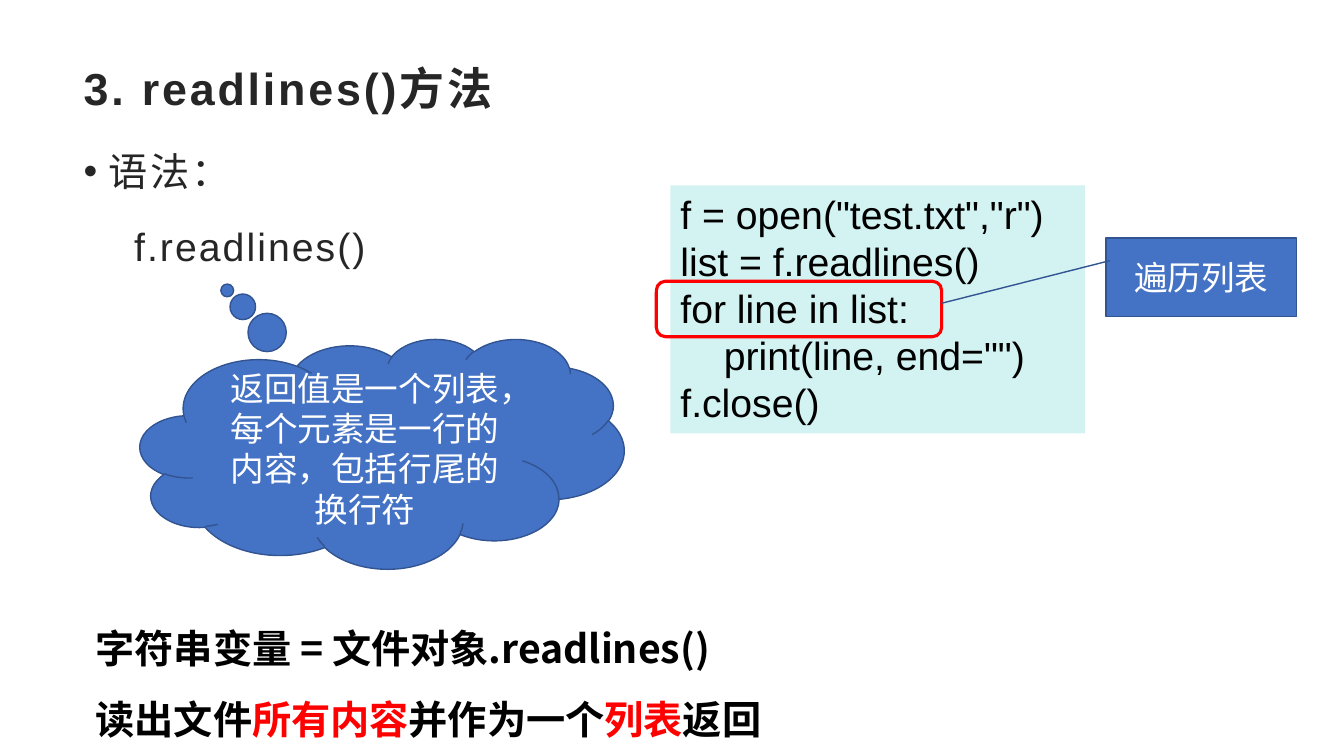
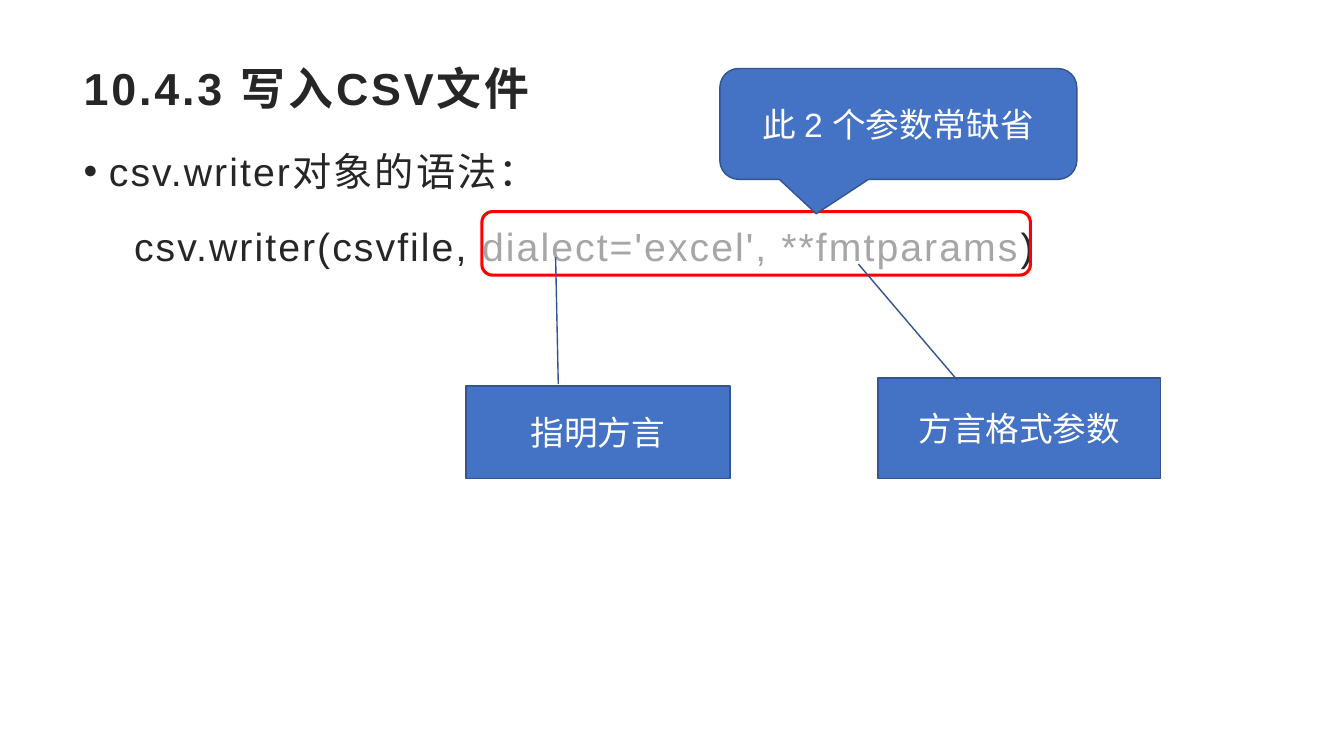
"""Build two slides on readlines() and csv.writer with annotated callouts."""
import pptx
import pptx.dml.color
import pptx.enum.shapes
import pptx.enum.text
import pptx.oxml
import pptx.oxml.ns
import pptx.util

RGB = pptx.dml.color.RGBColor
SHAPE = pptx.enum.shapes.MSO_SHAPE
ALIGN = pptx.enum.text.PP_ALIGN
ANCHOR = pptx.enum.text.MSO_ANCHOR

INK = RGB(0x26, 0x26, 0x26)
BLACK = RGB(0, 0, 0)
WHITE = RGB(0xFF, 0xFF, 0xFF)
RED = RGB(0xFF, 0, 0)
GREY = RGB(0xA6, 0xA6, 0xA6)
BLUE = RGB(0x44, 0x72, 0xC4)
EDGE = RGB(0x32, 0x54, 0x91)
MINT = RGB(0xD3, 0xF2, 0xF2)
LATIN, CHINESE = "Arial", "Noto Sans CJK SC"

WIDTH, HEIGHT = 13.33, 7.5
TITLE_AREA = (0.73, 0.48, 11.87, 0.78)
BODY_AREA = (0.73, 1.27, 11.87, 5.67)
CODE_AREA = (6.65, 1.84, 4.11, 2.46)
SUMMARY_AREA = (0.35, 5.91, 11.43, 1.51)

CODE = [
    'f = open("test.txt","r")',
    "list = f.readlines()",
    "for line in list:",
    '    print(line, end="")',
    "f.close()",
]
SUMMARY = [
    ["字符串变量 = 文件对象.readlines()"],
    ["读出文件", ("所有内容", RED), "并作为一个", ("列表", RED), "返回"],
]
SLIDES = [
    {
        "title": "3. readlines()方法",
        "body": [["语法："], ["f.readlines()"]],
        "code": CODE,
        "frame": (6.51, 2.79, 2.83, 0.55),
        "callouts": [
            (SHAPE.CLOUD_CALLOUT, "返回值是一个列表，每个元素是一行的内容，包括行尾的换行符",
             (1.39, 3.36, 4.8, 2.28), (-0.32, -0.71)),
            (SHAPE.LINE_CALLOUT_1, "遍历列表",
             (10.97, 2.36, 1.89, 0.78), (0.29, 0.02, 0.83, -0.86)),
        ],
        "summary": SUMMARY,
    },
    {
        "title": "10.4.3 写入CSV文件",
        "body": [
            ["csv.writer对象的语法："],
            ["csv.writer(csvfile, ", ("dialect='excel', **fmtparams", GREY), ")"],
        ],
        "frame": (4.78, 2.1, 5.44, 0.63),
        "callouts": [
            (SHAPE.LINE_CALLOUT_1, "指明方言",
             (4.62, 3.83, 2.62, 0.92), (-0.02, 0.35, -1.39, 0.34)),
            (SHAPE.LINE_CALLOUT_1, "方言格式参数",
             (8.71, 3.75, 2.8, 1), (0.02, 0.28, -1.13, -0.07)),
            (SHAPE.ROUNDED_RECTANGULAR_CALLOUT, "此 2 个参数常缺省",
             (7.14, 0.68, 3.54, 1.1), (-0.23, 0.81, 0.17)),
        ],
    },
]


def inches(area):
    return [pptx.util.Inches(length) for length in area]


def add_element(parent, tag, **attributes):
    element = pptx.oxml.parse_xml(f"<a:{tag} {pptx.oxml.ns.nsdecls('a')}/>")
    for name, value in attributes.items():
        element.set(name, value)
    parent.append(element)


def write(box, lines, size, color=BLACK, font=LATIN, bold=False, tracking=0,
          align=ALIGN.LEFT, anchor=ANCHOR.TOP, spacing=1.0, after=0,
          outline=None):
    """Fill a box; each line is a list of strings or (string, colour) pairs."""
    frame = box.text_frame
    frame.word_wrap = True
    frame.auto_size = pptx.enum.text.MSO_AUTO_SIZE.NONE
    frame.vertical_anchor = anchor
    for index, line in enumerate(lines):
        para = frame.paragraphs[0] if index == 0 else frame.add_paragraph()
        if outline:
            para.level, margin, indent, bullet = outline[index]
            properties = para._p.get_or_add_pPr()
            properties.set("marL", str(pptx.util.Inches(margin)))
            properties.set("indent", str(pptx.util.Inches(indent)))
            if bullet:
                add_element(properties, "buFont", typeface=LATIN)
                add_element(properties, "buChar", char=bullet)
            else:
                add_element(properties, "buNone")
        para.alignment = align
        para.line_spacing = spacing
        para.space_before = pptx.util.Pt(0)
        para.space_after = pptx.util.Pt(after)
        for part in line:
            text, tint = (part, color) if isinstance(part, str) else part
            span = para.add_run()
            span.text = text
            span.font.size = pptx.util.Pt(size)
            span.font.bold = bold
            span.font.name = font
            span.font.color.rgb = tint
            properties = span._r.get_or_add_rPr()
            properties.set("spc", str(int(tracking * 100)))
            add_element(properties, "ea", typeface=CHINESE)


def add_shape(page, kind, area, fill=None, edge=None, weight=1, adjust=()):
    shape = page.shapes.add_shape(kind, *inches(area))
    shape.shadow.inherit = False
    for index, value in enumerate(adjust):
        shape.adjustments[index] = value
    if fill is None:
        shape.fill.background()
    else:
        shape.fill.solid()
        shape.fill.fore_color.rgb = fill
    if edge is None:
        shape.line.fill.background()
    else:
        shape.line.color.rgb = edge
        shape.line.width = pptx.util.Pt(weight)
    return shape


def place(box, area):
    box.left, box.top, box.width, box.height = inches(area)
    return box


def build_page(deck, content):
    page = deck.slides.add_slide(deck.slide_layouts[1])
    write(place(page.shapes.title, TITLE_AREA), [[content["title"]]], 32,
          color=INK, bold=True, tracking=2, anchor=ANCHOR.MIDDLE)
    write(place(page.placeholders[1], BODY_AREA), content["body"], 28,
          color=INK, tracking=1.5, spacing=1.3, after=10,
          outline=[(0, 0.25, -0.25, "•"), (1, 0.5, 0, None)])
    if "code" in content:
        panel = add_shape(page, SHAPE.RECTANGLE, CODE_AREA, fill=MINT)
        write(panel, [[line] for line in content["code"]], 28)
    add_shape(page, SHAPE.ROUNDED_RECTANGLE, content["frame"], edge=RED, weight=2.25)
    for kind, text, area, adjust in content["callouts"]:
        callout = add_shape(page, kind, area, fill=BLUE, edge=EDGE, adjust=adjust)
        write(callout, [[text]], 24, color=WHITE, align=ALIGN.CENTER,
              anchor=ANCHOR.MIDDLE)
    if "summary" in content:
        box = page.shapes.add_textbox(*inches(SUMMARY_AREA))
        write(box, content["summary"], 28, font=CHINESE, bold=True,
              align=ALIGN.JUSTIFY, spacing=1.5, outline=[(1, 0.5, 0, None)] * 2)


def main():
    deck = pptx.Presentation()
    deck.slide_width, deck.slide_height = inches((WIDTH, HEIGHT))
    for content in SLIDES:
        build_page(deck, content)
    deck.save("out.pptx")


if __name__ == "__main__":
    main()
